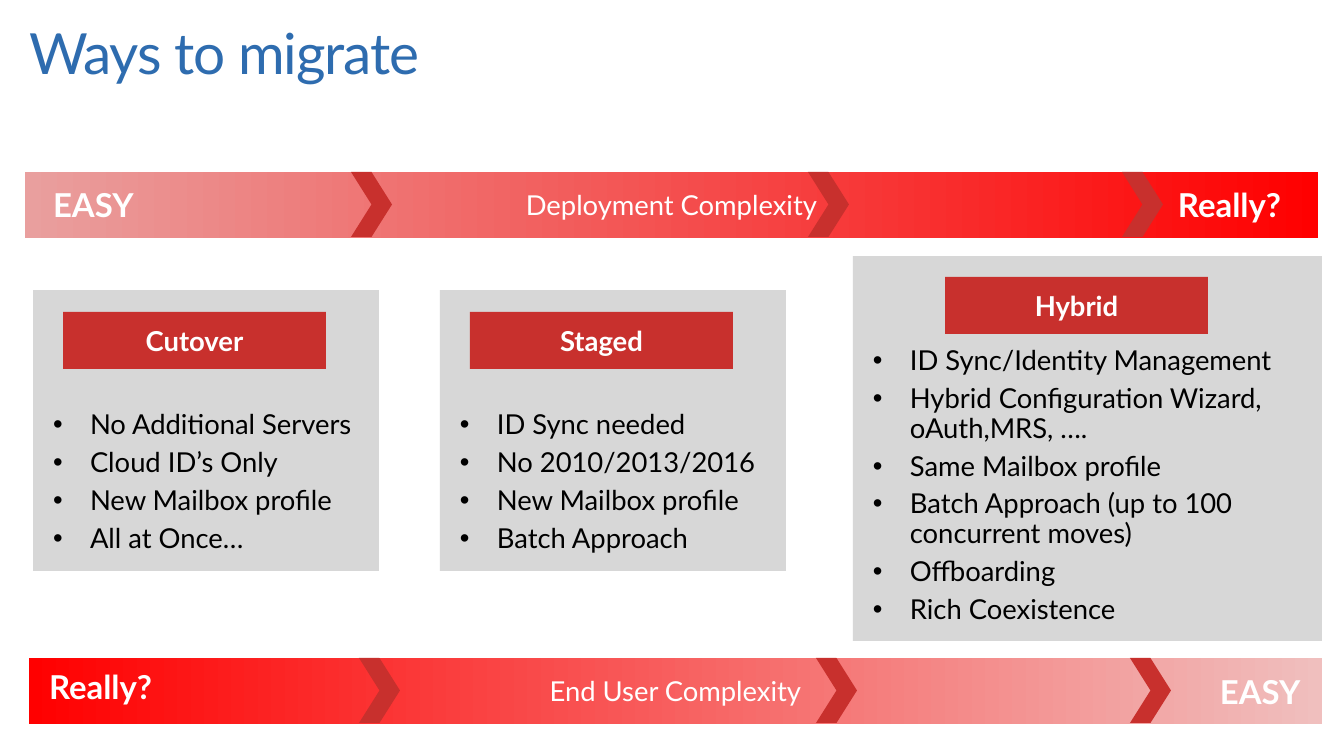
from lxml import etree
from pptx import Presentation
from pptx.dml.color import RGBColor
from pptx.enum.shapes import MSO_SHAPE
from pptx.enum.text import MSO_ANCHOR, MSO_AUTO_SIZE, PP_ALIGN
from pptx.oxml.ns import qn
from pptx.util import Pt

PX = 914400 / 100.8
RECT, CHEVRON = MSO_SHAPE.RECTANGLE, MSO_SHAPE.CHEVRON
TOP, MIDDLE = MSO_ANCHOR.TOP, MSO_ANCHOR.MIDDLE
LEFT, CENTER = PP_ALIGN.LEFT, PP_ALIGN.CENTER
NO_FIT = MSO_AUTO_SIZE.NONE
COLORS = {
    "title": "2E6CAF", "red": "C8302D", "hard": "FF0000", "easy_top": "E99F9E",
    "easy_bottom": "F0BFBE", "card": "D7D7D7", "white": "FFFFFF", "black": "000000",
}
RGB = {name: RGBColor.from_string(value) for name, value in COLORS.items()}

prs = Presentation()
prs.slide_width, prs.slide_height = round(1344 * PX), round(756 * PX)
s = prs.slides.add_slide(prs.slide_layouts[5])


def add_block(kind, box, color=None):
    sp = s.shapes.add_shape(kind, *[round(v * PX) for v in box])
    sp.shadow.inherit = False
    sp.line.fill.background()
    if color:
        sp.fill.solid()
        sp.fill.fore_color.rgb = RGB[color]
    return sp


def write(sp, lines, size, color, bold=False, align=LEFT, anchor=TOP, insets=(0, 5), bullets=False):
    tf = sp.text_frame
    tf.word_wrap = True
    tf.auto_size = NO_FIT
    tf.vertical_anchor = anchor
    tf.margin_left = tf.margin_right = round(insets[0] * PX)
    tf.margin_top = tf.margin_bottom = round(insets[1] * PX)
    tf.text = "\n".join(lines)
    for p in tf.paragraphs:
        p.alignment = align
        if anchor == TOP:
            p.line_spacing = 0.9
            p.space_after = Pt(5.9)
        if bullets:
            pPr = p._p.get_or_add_pPr()
            pPr.set("marL", str(round(37 * PX)))
            pPr.set("indent", str(round(-37 * PX)))
            etree.SubElement(pPr, qn("a:buFont")).set("typeface", "Arial")
            etree.SubElement(pPr, qn("a:buChar")).set("char", "•")
        for r in p.runs:
            r.font.name = "Lato"
            r.font.size = Pt(size)
            r.font.bold = bold
            r.font.color.rgb = RGB[color]


title = s.shapes.title
title.left, title.top, title.width, title.height = [round(v * PX) for v in (29, 25, 442, 71)]
write(title, ["Ways to migrate"], 40.5, "title", insets=(0, 0))
title.text_frame.paragraphs[0].runs[0].font._element.set("spc", "-80")

bands = [
    (25, 172, "Deployment Complexity", "easy_top", "hard"),
    (29, 658, "End User Complexity", "hard", "easy_bottom"),
]
for x, y, text, start, end in bands:
    sp = add_block(RECT, (x, y, 1293, 66))
    sp.fill.gradient()
    sp.fill.gradient_angle = 0
    for stop, color in zip(sp.fill.gradient_stops, (start, end)):
        stop.color.rgb = RGB[color]
    write(sp, [text], 19.6, "white", align=CENTER, anchor=MIDDLE)

for y, shift in ((172, 0), (658, 8)):
    for x in (351, 808, 1122):
        add_block(CHEVRON, (x + shift, y, 41, 65), "red")

end_labels = [
    ("EASY", 33, 173, 124), ("Really?", 1158, 173, 154),
    ("EASY", 1200, 660, 124), ("Really?", 29, 655, 154),
]
for text, x, y, w in end_labels:
    sp = s.shapes.add_textbox(*[round(v * PX) for v in (x, y, w, 68)])
    write(sp, [text], 23.5, "white", bold=True, insets=(20, 16))

cards = [
    ("Cutover", (33, 290, 346, 281), (63, 312), (33, 395, 395, 176),
     ["No Additional Servers", "Cloud ID’s Only", "New Mailbox profile", "All at Once…"]),
    ("Staged", (440, 290, 346, 281), (470, 312), (440, 395, 346, 177),
     ["ID Sync needed", "No 2010/2013/2016", "New Mailbox profile", "Batch Approach"]),
    ("Hybrid", (853, 256, 469, 385), (945, 277), (853, 331, 459, 313),
     ["ID Sync/Identity Management", "Hybrid Configuration Wizard, oAuth,MRS, ….",
      "Same Mailbox profile", "Batch Approach (up to 100 concurrent moves)",
      "Offboarding", "Rich Coexistence"]),
]
for name, panel, header, body, items in cards:
    add_block(RECT, panel, "card")
    sp = s.shapes.add_textbox(*[round(v * PX) for v in body])
    write(sp, items, 19.6, "black", insets=(20, 16), bullets=True)
    sp = add_block(RECT, (*header, 263, 57), "red")
    write(sp, [name], 19.6, "white", bold=True, align=CENTER, anchor=MIDDLE)

prs.save("out.pptx")
